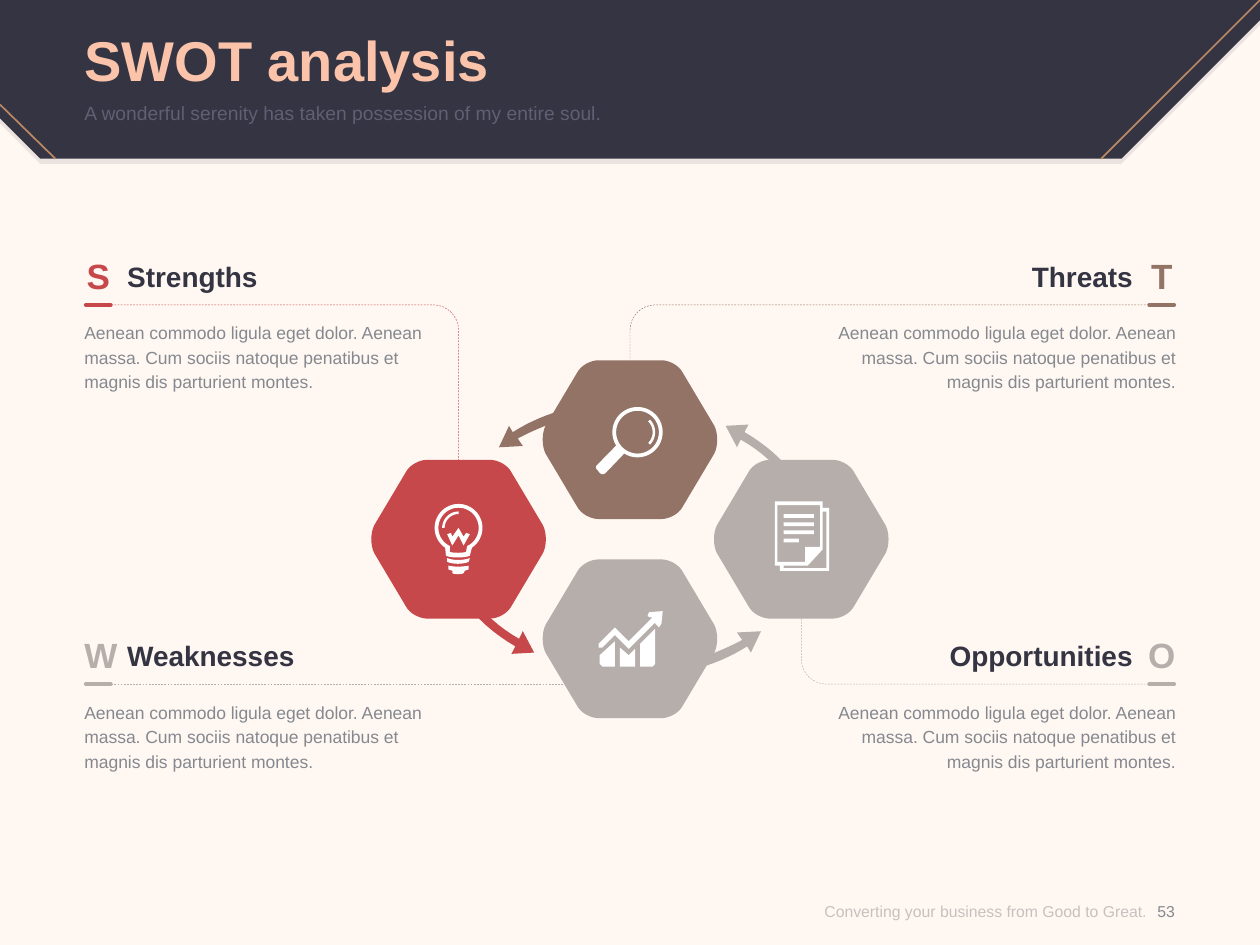
from math import cos, radians, sin

from lxml import etree
from pptx import Presentation
from pptx.dml.color import RGBColor
from pptx.enum.dml import MSO_LINE
from pptx.enum.shapes import MSO_CONNECTOR
from pptx.enum.text import MSO_ANCHOR, PP_ALIGN
from pptx.oxml.ns import qn
from pptx.util import Inches, Pt

LEFT, MID, RIGHT = PP_ALIGN.LEFT, PP_ALIGN.CENTER, PP_ALIGN.RIGHT
TOP, CENTRE = MSO_ANCHOR.TOP, MSO_ANCHOR.MIDDLE
DASH = MSO_LINE.DASH
STRAIGHT = MSO_CONNECTOR.STRAIGHT

NAVY, PEACH, BRONZE, CREAM = "343442", "FBC4AA", "B98763", "FFF7F2"
RED, BROWN, STONE, GREY, WHITE = "C7484A", "927365", "B6AEAB", "85898F", "FFFFFF"
BODY = ("Aenean commodo ligula eget dolor. Aenean massa. "
        "Cum sociis natoque penatibus et magnis dis parturient montes.")


def tint(code):
    return RGBColor.from_string(code)


def fade(node, share):
    for colour in node.iter(qn("a:srgbClr")):
        etree.SubElement(colour, qn("a:alpha"), val=str(share * 1000))


def flat(path, steps=8):
    """Turn points and cubic curves (six numbers) into points."""
    out = []
    for item in path:
        if len(item) == 2:
            out.append(item)
            continue
        nodes = [out[-1], item[:2], item[2:4], item[4:]]
        for i in range(1, steps + 1):
            t = i / steps
            parts = ((1 - t) ** 3, 3 * t * (1 - t) ** 2, 3 * t * t * (1 - t), t ** 3)
            out.append(tuple(sum(w * n[k] for w, n in zip(parts, nodes)) for k in (0, 1)))
    return out


def arc(x, y, r, start, stop, steps=40):
    turns = [radians(start + (stop - start) * i / steps) for i in range(steps + 1)]
    return [(x + r * cos(a), y + r * sin(a)) for a in turns]


def box(x1, y1, x2, y2):
    return [(x1, y1), (x2, y1), (x2, y2), (x1, y2)]


def shift(path, x, y, sign=1):
    return [tuple(sign * v + (x, y)[i % 2] for i, v in enumerate(p)) for p in path]


class Deck:
    def __init__(self):
        self.show = Presentation()
        self.show.slide_width, self.show.slide_height = Inches(10), Inches(7.5)
        self.slide = self.show.slides.add_slide(self.show.slide_layouts[6])
        self.face = "Arial"
        fill = self.slide.background.fill
        fill.solid()
        fill.fore_color.rgb = tint(CREAM)

    def text(self, words, x, y, w, h, size, colour, bold=False, align=LEFT,
             anchor=TOP, space=None, alpha=None):
        frame = self.slide.shapes.add_textbox(*map(Inches, (x, y, w, h))).text_frame
        look = {"margin_left": 0, "margin_top": 0, "margin_right": 0,
                "margin_bottom": 0, "word_wrap": True, "vertical_anchor": anchor}
        para = frame.paragraphs[0]
        run = para.add_run()
        run.text = words
        for part, values in ((frame, look),
                             (para, {"alignment": align, "line_spacing": space}),
                             (run.font, {"name": self.face, "size": Pt(size), "bold": bold})):
            for key, value in values.items():
                setattr(part, key, value)
        run.font.color.rgb = tint(colour)
        if alpha:
            fade(run._r, alpha)

    def stroke(self, line, colour, width, dash=None):
        line.color.rgb = tint(colour)
        line.width = Pt(width)
        line.dash_style = dash

    def line(self, x1, y1, x2, y2, colour, width, dash=None, cap="flat"):
        link = self.slide.shapes.add_connector(STRAIGHT, *map(Inches, (x1, y1, x2, y2)))
        self.stroke(link.line, colour, width, dash)
        link.line._ln.set("cap", cap)
        etree.SubElement(link._element.spPr, qn("a:effectLst"))

    def trace(self, paths, close):
        pen = None
        for path in paths:
            points = [(Inches(x), Inches(y)) for x, y in flat(path)]
            if pen is None:
                pen = self.slide.shapes.build_freeform(*points[0])
            else:
                pen.move_to(*points[0])
            pen.add_line_segments(points[1:], close=close)
        shape = pen.convert_to_shape()
        shape.shadow.inherit = False
        return shape

    def area(self, colour, *paths, alpha=None):
        shape = self.trace(paths, True)
        shape.fill.solid()
        shape.fill.fore_color.rgb = tint(colour)
        shape.line.fill.background()
        if alpha:
            fade(shape._element.spPr, alpha)

    def elbow(self, x1, y1, x2, y2, colour):
        dx = 0.2 if x2 > x1 else -0.2
        dy = 0.2 if y2 > y1 else -0.2
        bend = (x2 - dx * 0.45, y1, x2, y1 + dy * 0.45, x2, y1 + dy)
        shape = self.trace([[(x1, y1), (x2 - dx, y1), bend, (x2, y2)]], False)
        shape.fill.background()
        self.stroke(shape.line, colour, 0.25, DASH)

    def panel(self, mark, head, colour, top, right):
        def side(x, w):
            return 10 - x - w if right else x
        align = RIGHT if right else LEFT
        self.text(BODY, side(0.67, 2.86), top + 0.51, 2.86, 0.59, 10, GREY,
                  align=align, space=Pt(14))
        self.text(head, side(1.01, 1.59), top + 0.04, 1.59, 0.27, 16, NAVY, True, align)
        self.text(mark, side(0.67, 0.22), top, 0.22, 0.34, 20, colour, True, MID)
        self.line(side(0.88, 0), top + 0.4, side(0.68, 0), top + 0.4, colour, 2, cap="rnd")


deck = Deck()

# Header band
BAND = [(8.9, 1.26), (0.32, 1.26), (0, 0.94), (0, 0), (10, 0), (10, 0.16)]
deck.area(NAVY, shift(BAND, 0, 0.04), alpha=10)
deck.area(NAVY, BAND)
deck.line(10, 0, 8.74, 1.26, BRONZE, 1)
deck.line(0.44, 1.26, 0, 0.83, BRONZE, 1)
deck.text("SWOT analysis", 0.67, 0.14, 8.66, 0.65, 32, PEACH, True, anchor=CENTRE)
deck.text("A wonderful serenity has taken possession of my entire soul.",
          0.67, 0.8, 8.66, 0.39, 11, "605F73")

# Footer
deck.text("Converting your business from Good to Great.", 6.04, 6.96, 3.06, 0.54, 9,
          "8C8C8C", align=RIGHT, anchor=CENTRE, alpha=50)
deck.text("53", 9.02, 6.96, 0.47, 0.54, 9, GREY, align=MID, anchor=CENTRE)

# Dashed guides
deck.elbow(0.71, 2.42, 3.64, 3.65, RED)
deck.elbow(9.29, 2.42, 5, 2.86, BROWN)
deck.line(0.71, 5.43, 4.48, 5.43, STONE, 0.25, DASH)
deck.elbow(9.29, 5.43, 6.36, 4.91, STONE)

# Arrows: each pair is a half turn about the centre
UPPER = [(6.32, 3.8), (6.26, 3.83), (6.17, 3.7, 6.04, 3.58, 5.88, 3.49), (5.85, 3.55),
         (5.76, 3.38), (5.94, 3.37), (5.91, 3.43), (6.08, 3.53, 6.22, 3.65, 6.32, 3.8)]
LOWER = [(6.04, 5.01), (5.96, 5.18), (5.93, 5.13), (5.79, 5.22, 5.64, 5.28, 5.48, 5.32),
         (5.46, 5.25), (5.61, 5.21, 5.76, 5.15, 5.89, 5.08), (5.85, 5.02)]
for arrow, colour in ((UPPER, RED), (LOWER, BROWN)):
    deck.area(STONE, arrow)
    deck.area(colour, shift(arrow, 10, 8.56, -1))

# Hexagons
HALF = [(-0.25, 0.63), (-0.31, 0.63, -0.39, 0.59, -0.42, 0.53), (-0.67, 0.11),
        (-0.7, 0.05, -0.7, -0.05, -0.67, -0.11), (-0.42, -0.53),
        (-0.39, -0.59, -0.31, -0.63, -0.25, -0.63)]
HEX = HALF + shift(HALF, 0, 0, -1)
for x, y, colour in ((5, 3.49, BROWN), (5, 5.07, STONE), (3.64, 4.28, RED), (6.36, 4.28, STONE)):
    deck.area(colour, shift(HEX, x, y))

# Lens icon
deck.area(WHITE,
          arc(5.06, 3.43, 0.2, 148, 482) + [
              (4.81, 3.75), (4.79, 3.77, 4.77, 3.77, 4.75, 3.74),
              (4.72, 3.71, 4.73, 3.7, 4.74, 3.69)],
          arc(5.06, 3.43, 0.17, 0, 360),
          arc(5.06, 3.43, 0.14, -45, 45) + arc(5.06, 3.43, 0.12, 45, -45))

# Bulb icon
deck.area(WHITE,
          arc(3.64, 4.19, 0.19, 124, 416) + [(3.73, 4.41), (3.7, 4.43, 3.57, 4.43, 3.54, 4.41)],
          arc(3.64, 4.19, 0.16, 115, 425) + [(3.7, 4.38), (3.68, 4.39, 3.59, 4.39, 3.57, 4.38)],
          arc(3.64, 4.19, 0.13, 180, 270) + arc(3.64, 4.19, 0.11, 270, 180),
          [(3.68, 4.26), (3.64, 4.19), (3.59, 4.26), (3.58, 4.23), (3.55, 4.24),
           (3.59, 4.33), (3.64, 4.25), (3.68, 4.33), (3.73, 4.24), (3.7, 4.23)],
          [(3.55, 4.43), (3.6, 4.45, 3.67, 4.45, 3.73, 4.43), (3.72, 4.46),
           (3.67, 4.48, 3.6, 4.48, 3.55, 4.46)],
          [(3.56, 4.49), (3.6, 4.5, 3.67, 4.5, 3.72, 4.49), (3.72, 4.52), (3.69, 4.53),
           (3.68, 4.55), (3.66, 4.56, 3.61, 4.56, 3.59, 4.55), (3.59, 4.53), (3.56, 4.52)])

# Growth icon
deck.area(WHITE,
          [(4.76, 5.2), (4.76, 5.27), (4.78, 5.29), (4.88, 5.29), (4.88, 5.09)],
          [(4.92, 5.14), (4.92, 5.29), (5.04, 5.29), (5.04, 5.15), (4.99, 5.2)],
          [(5.08, 5.11), (5.08, 5.29), (5.18, 5.29), (5.2, 5.27), (5.2, 4.99)],
          [(5.15, 4.86), (5.14, 4.89), (5.16, 4.9), (5.18, 4.9), (4.99, 5.09), (4.88, 4.98),
           (4.75, 5.11), (4.75, 5.14), (4.78, 5.14), (4.88, 5.04), (4.99, 5.15), (5.21, 4.93),
           (5.2, 4.95), (5.23, 4.98), (5.25, 4.95), (5.26, 4.85)])

# Paper icon
rows = [box(6.22, 4.08 + 0.065 * i, 6.46 if i < 3 else 6.34, 4.11 + 0.065 * i) for i in range(4)]
deck.area(WHITE, *rows,
          [(6.53, 4.03), (6.53, 3.98), (6.15, 3.98), (6.15, 4.49), (6.19, 4.49),
           (6.19, 4.53), (6.58, 4.53), (6.58, 4.03)],
          [(6.17, 4.46), (6.17, 4.01), (6.51, 4.01), (6.51, 4.34), (6.39, 4.34), (6.39, 4.46)],
          [(6.56, 4.51), (6.22, 4.51), (6.22, 4.49), (6.41, 4.49), (6.53, 4.36),
           (6.53, 4.06), (6.56, 4.06)])

# Text panels
for mark, head, colour, top, right in (
        ("S", "Strengths", RED, 2.02, False), ("T", "Threats", BROWN, 2.02, True),
        ("W", "Weaknesses", STONE, 5.03, False), ("O", "Opportunities", STONE, 5.03, True)):
    deck.panel(mark, head, colour, top, right)

deck.show.save("out.pptx")
